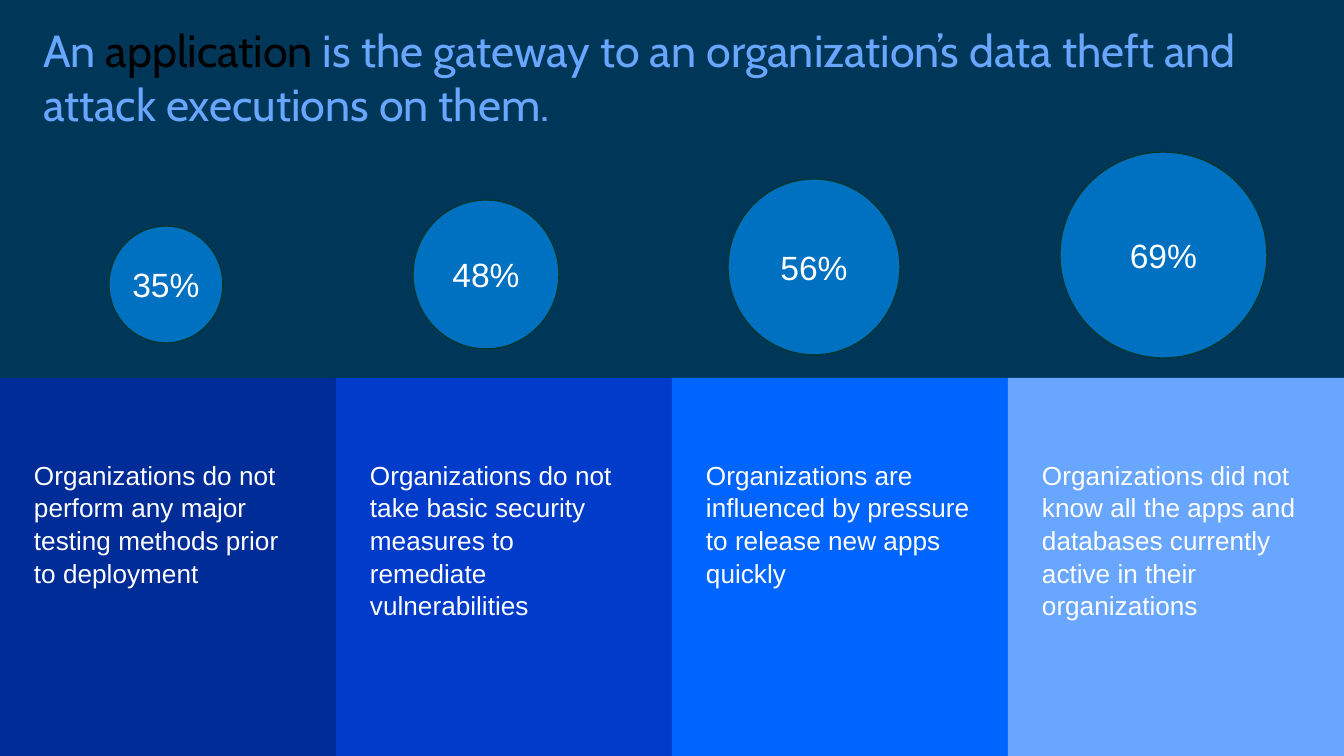
from pptx import Presentation
from pptx.dml.color import RGBColor
from pptx.enum.shapes import MSO_SHAPE
from pptx.enum.text import MSO_ANCHOR, MSO_AUTO_SIZE, PP_ALIGN
from pptx.util import Pt

RECT, OVAL = MSO_SHAPE.RECTANGLE, MSO_SHAPE.OVAL
TOP, MIDDLE = MSO_ANCHOR.TOP, MSO_ANCHOR.MIDDLE
LEFT, CENTER = PP_ALIGN.LEFT, PP_ALIGN.CENTER
FIXED = MSO_AUTO_SIZE.NONE

PX = 914400 / 134.4
WIDE, HIGH = 1344, 756
COLORS = {
    "back": "EAEAEA", "band": "003759", "navy": "002C97", "royal": "003BC9",
    "blue": "0064FF", "sky": "69A6FF", "disc": "0070C0", "rim": "003731",
    "white": "FFFFFF", "black": "000000",
}


def emu(px):
    return round(px * PX)


def rgb(name):
    return RGBColor.from_string(COLORS[name])


class Deck:
    def __init__(self):
        self.show = Presentation()
        self.show.slide_width, self.show.slide_height = emu(WIDE), emu(HIGH)
        self.slide = self.show.slides.add_slide(self.show.slide_layouts[5])
        self.paint(self.slide.background, "back")

    def paint(self, part, color):
        part.fill.solid()
        part.fill.fore_color.rgb = rgb(color)

    def label(self, shape, runs, font, size, insets, anchor=TOP, align=LEFT):
        frame = shape.text_frame
        frame.word_wrap, frame.auto_size = True, FIXED
        frame.vertical_anchor = anchor
        (frame.margin_left, frame.margin_top,
         frame.margin_right, frame.margin_bottom) = map(emu, insets)
        para = frame.paragraphs[0]
        para.alignment = align
        para.space_before = Pt(0)
        for text, color in runs:
            run = para.add_run()
            run.text = text
            run.font.name, run.font.size = font, Pt(size)
            run.font.color.rgb = rgb(color)
        return para

    def title(self, box, runs):
        head = self.slide.shapes.title
        head.left, head.top, head.width, head.height = map(emu, box)
        self.paint(head, "band")
        self.label(head, runs, "Cabin", 24, (43, 23, 34, 34))

    def shape(self, kind, box, color):
        item = self.slide.shapes.add_shape(kind, *map(emu, box))
        item.shadow.inherit = False
        self.paint(item, color)
        return item

    def panel(self, box, color, text):
        item = self.shape(RECT, box, color)
        item.line.fill.background()
        para = self.label(item, [(text, "white")], "Arial", 14, (34, 80, 34, 34))
        para.line_spacing = 1.04

    def disc(self, box, text):
        item = self.shape(OVAL, box, "disc")
        item.line.color.rgb = rgb("rim")
        item.line.width = Pt(0.75)
        self.label(item, [(text, "white")], "Arial", 18, (0, 0, 0, 0), MIDDLE, CENTER)


def main():
    deck = Deck()
    half, step = HIGH // 2, WIDE // 4

    # Title band
    deck.title((0, 0, WIDE, half), [
        ("An ", "sky"),
        ("application", "black"),
        (" is the gateway to an organization’s data theft and "
         "attack executions on them.", "sky"),
    ])

    # Four columns: panel colour, finding, share and its disc
    columns = [
        ("navy", "Organizations do not perform any major testing methods "
         "prior to deployment", "35%", (109, 226, 114, 117)),
        ("royal", "Organizations do not take basic security measures to "
         "remediate vulnerabilities", "48%", (413, 200, 146, 149)),
        ("blue", "Organizations are influenced by pressure to release new "
         "apps quickly", "56%", (728, 179, 172, 176)),
        ("sky", "Organizations did not know all the apps and databases "
         "currently active in their organizations", "69%", (1060, 152, 207, 206)),
    ]
    for i, (color, text, share, box) in enumerate(columns):
        deck.panel((i * step, half, step, half), color, text)
        deck.disc(box, share)

    deck.show.save("out.pptx")


if __name__ == "__main__":
    main()
